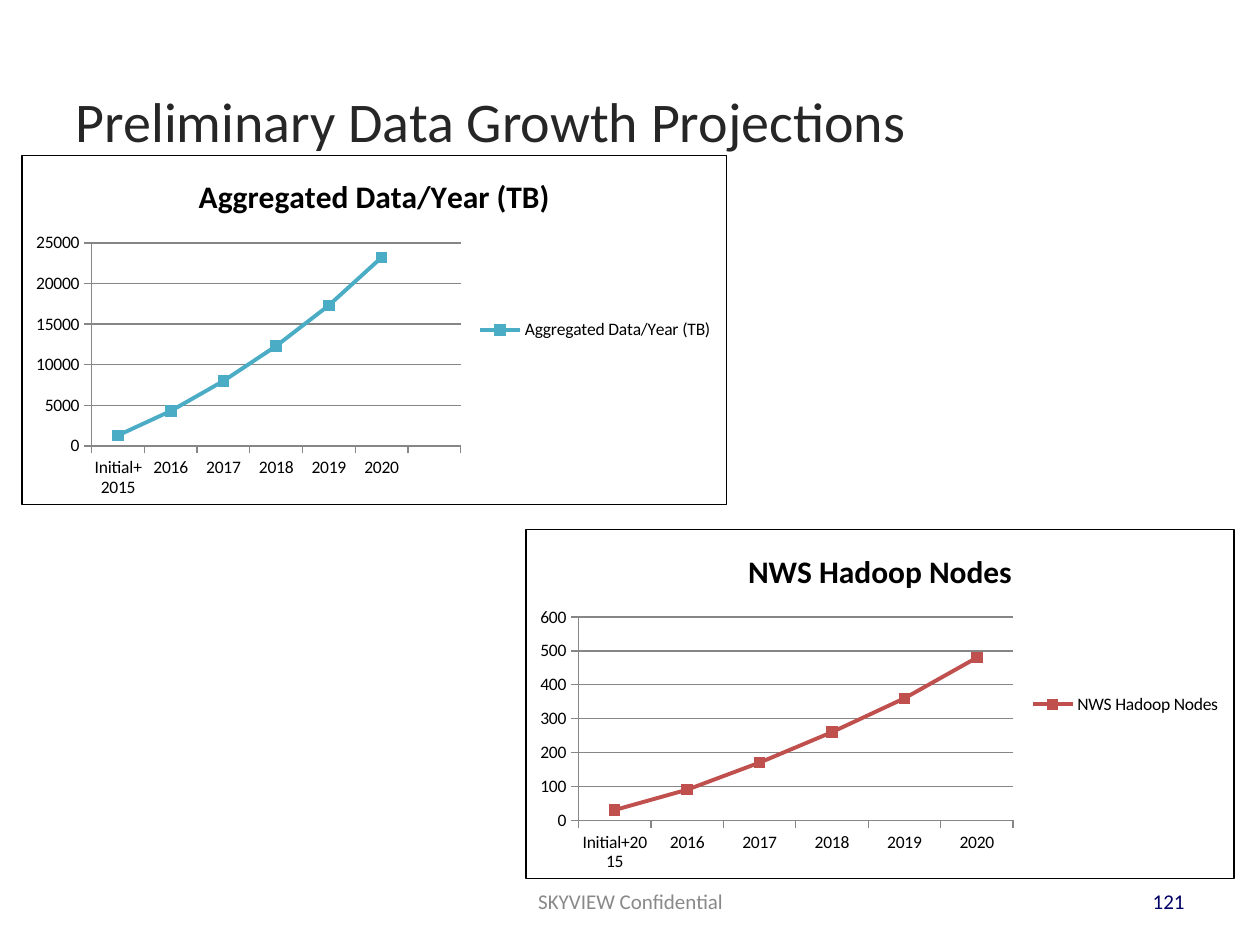
from dataclasses import dataclass

from lxml import etree
from pptx import Presentation
from pptx.chart.data import CategoryChartData
from pptx.dml.color import RGBColor
from pptx.enum.chart import XL_CHART_TYPE, XL_LEGEND_POSITION, XL_MARKER_STYLE, XL_TICK_MARK
from pptx.enum.text import MSO_ANCHOR, PP_ALIGN
from pptx.util import Inches, Pt

LINE_MARKERS = XL_CHART_TYPE.LINE_MARKERS
LEGEND_RIGHT = XL_LEGEND_POSITION.RIGHT
SQUARE = XL_MARKER_STYLE.SQUARE
TICK_OUTSIDE = XL_TICK_MARK.OUTSIDE
MIDDLE = MSO_ANCHOR.MIDDLE
LEFT, CENTER, RIGHT = PP_ALIGN.LEFT, PP_ALIGN.CENTER, PP_ALIGN.RIGHT
DRAWING = "http://schemas.openxmlformats.org/drawingml/2006/main"
CHART = "http://schemas.openxmlformats.org/drawingml/2006/chart"
TITLE_ONLY = 5


@dataclass(frozen=True)
class Theme:
    font: str = "Calibri"
    title: str = "262626"
    footer: str = "898989"
    page_number: str = "000066"
    ink: str = "000000"
    paper: str = "FFFFFF"
    grid: str = "868686"
    data_line: str = "4BACC6"
    node_line: str = "C0504D"
    title_size: int = 32
    chart_title_size: int = 18
    footer_size: int = 12
    chart_size: int = 10


THEME = Theme()
YEARS = ["Initial+2015", "2016", "2017", "2018", "2019", "2020"]


def style_font(font, size, color, bold=False):
    font.name = THEME.font
    font.size = Pt(size)
    font.bold = bold
    font.color.rgb = RGBColor.from_string(color)


def place(shape, box):
    shape.left, shape.top, shape.width, shape.height = (Inches(length) for length in box)


def write_line(shape, text, size, color, align):
    frame = shape.text_frame
    frame.word_wrap = True
    frame.vertical_anchor = MIDDLE
    para = frame.paragraphs[0]
    para.text = text
    para.alignment = align
    style_font(para.font, size, color)


def add_heading(page, box, text):
    place(page.shapes.title, box)
    write_line(page.shapes.title, text, THEME.title_size, THEME.title, LEFT)


def add_footer(page, box, text, color, align):
    footer = page.shapes.add_textbox(*(Inches(length) for length in box))
    write_line(footer, text, THEME.footer_size, color, align)


def frame_chart(chart):
    """Give the chart area a plain fill and a thin outline."""
    area = etree.fromstring(
        f'<c:spPr xmlns:c="{CHART}" xmlns:a="{DRAWING}">'
        f'<a:solidFill><a:srgbClr val="{THEME.paper}"/></a:solidFill>'
        f'<a:ln w="{Pt(0.75)}"><a:solidFill><a:srgbClr val="{THEME.ink}"/></a:solidFill></a:ln>'
        "</c:spPr>")
    chart.element.find(f"{{{CHART}}}chart").addnext(area)


def style_rule(line):
    line.color.rgb = RGBColor.from_string(THEME.grid)
    line.width = Pt(0.75)


def add_growth_chart(page, box, name, years, values, color):
    data = CategoryChartData(number_format="0")
    data.categories = years
    data.add_series(name, values)
    chart = page.shapes.add_chart(
        LINE_MARKERS, *(Inches(length) for length in box), data).chart
    style_font(chart.font, THEME.chart_size, THEME.ink)
    frame_chart(chart)

    # Title and legend
    chart.has_title = True
    para = chart.chart_title.text_frame.paragraphs[0]
    para.text = name
    style_font(para.font, THEME.chart_title_size, THEME.ink, bold=True)
    chart.chart_title.include_in_layout = False
    chart.has_legend = True
    chart.legend.position = LEGEND_RIGHT
    chart.legend.include_in_layout = False

    # Axes and grid
    for axis in (chart.category_axis, chart.value_axis):
        axis.major_tick_mark = TICK_OUTSIDE
        style_rule(axis.format.line)
    chart.value_axis.has_major_gridlines = True
    style_rule(chart.value_axis.major_gridlines.format.line)

    # Data line
    chart.plots[0].vary_by_categories = False
    series = chart.plots[0].series[0]
    series.smooth = False
    shade = RGBColor.from_string(color)
    series.format.line.color.rgb = shade
    series.format.line.width = Pt(2.25)
    series.marker.style = SQUARE
    series.marker.size = 6
    series.marker.format.fill.solid()
    series.marker.format.fill.fore_color.rgb = shade
    series.marker.format.line.color.rgb = shade


def main():
    deck = Presentation()
    deck.slide_width, deck.slide_height = Inches(10), Inches(7.5)
    page = deck.slides.add_slide(deck.slide_layouts[TITLE_ONLY])

    add_heading(page, (0.5, 0.33, 9, 1.25), "Preliminary Data Growth Projections")
    add_footer(page, (3.42, 6.95, 3.17, 0.4), "SKYVIEW Confidential", THEME.footer, CENTER)
    add_footer(page, (7.17, 6.95, 2.33, 0.4), "121", THEME.page_number, RIGHT)

    # The data chart keeps one empty slot after the last year
    add_growth_chart(page, (0.17, 1.23, 5.6, 2.78), "Aggregated Data/Year (TB)",
                     YEARS + [""], [1300, 4300, 8000, 12300, 17300, 23200, None],
                     THEME.data_line)
    add_growth_chart(page, (4.17, 4.2, 5.63, 2.78), "NWS Hadoop Nodes",
                     YEARS, [30, 90, 170, 260, 360, 480], THEME.node_line)
    deck.save("out.pptx")


if __name__ == "__main__":
    main()
